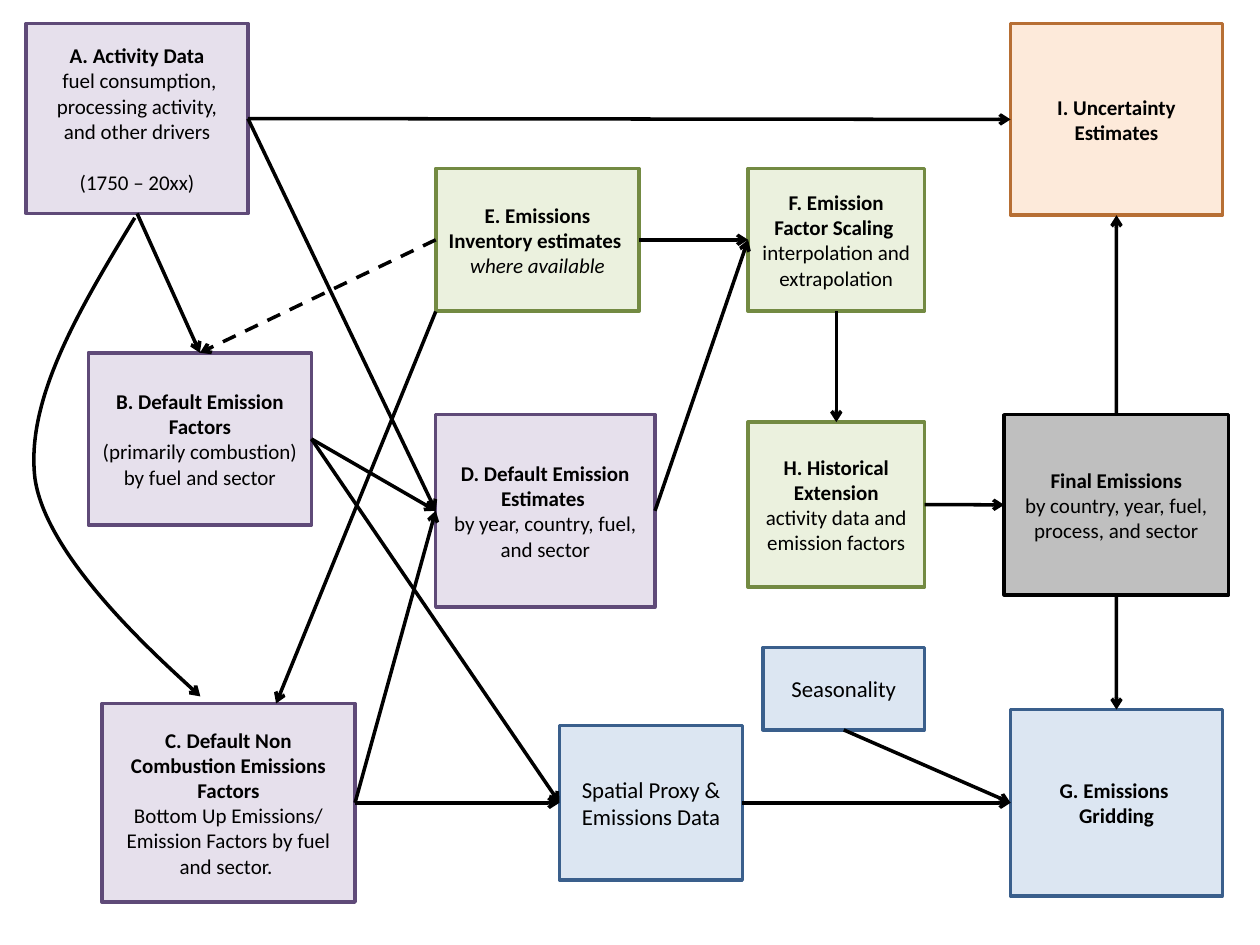
from dataclasses import dataclass
from enum import IntEnum

from lxml.etree import SubElement
from pptx import Presentation
from pptx.dml.color import RGBColor
from pptx.enum.dml import MSO_LINE
from pptx.enum.shapes import MSO_CONNECTOR, MSO_SHAPE
from pptx.enum.text import MSO_ANCHOR, PP_ALIGN
from pptx.oxml.ns import qn
from pptx.util import Pt

BLACK = "000000"
LINE_WIDTH = 2


class Side(IntEnum):
    TOP = 0
    LEFT = 1
    BOTTOM = 2
    RIGHT = 3


@dataclass(frozen=True)
class Palette:
    fill: str
    outline: str


@dataclass(frozen=True)
class Line:
    text: str
    bold: bool = False
    italic: bool = False
    size: float = 12
    space_before: float = 0


@dataclass(frozen=True)
class Box:
    key: str
    left: float
    top: float
    width: float
    height: float
    palette: Palette
    lines: tuple[Line, ...]


@dataclass(frozen=True)
class Link:
    source: str
    source_side: Side
    target: str
    target_side: Side
    dashed: bool = False


INPUT = Palette("E6E0EC", "5F4A78")
SCALING = Palette("EBF1DE", "738A42")
GRID = Palette("DCE6F2", "3A5F8C")
UNCERTAINTY = Palette("FDEADA", "B76F34")
FINAL = Palette("BFBFBF", BLACK)


def heading(text: str) -> Line:
    return Line(text, bold=True)


BOXES = (
    Box("activity", 15, 13.5, 126.7, 108.5, INPUT, (
        heading("A. Activity Data"),
        Line(" fuel consumption, processing activity, and other drivers"),
        Line("(1750 – 20xx)", space_before=14.6))),
    Box("inventory", 249, 96.3, 116.3, 81.5, SCALING, (
        heading("E. Emissions Inventory estimates "),
        Line("where available", italic=True))),
    Box("combustion", 50.5, 201.6, 127.5, 98.5, INPUT, (
        heading("B. Default Emission Factors"),
        Line("(primarily combustion) by fuel and sector"))),
    Box("non_combustion", 58.2, 402, 144.7, 113.5, INPUT, (
        heading("C. Default Non Combustion Emissions Factors"),
        Line("Bottom Up Emissions/ Emission Factors by fuel and sector. "))),
    Box("estimates", 249, 236.9, 125.3, 110, INPUT, (
        heading("D. Default Emission Estimates "),
        Line("by year, country, fuel, and sector"))),
    Box("factor_scaling", 427.5, 96.3, 100.8, 81.5, SCALING, (
        heading("F. Emission Factor Scaling "),
        Line("interpolation and extrapolation"))),
    Box("spatial_proxy", 319.7, 414.5, 104.5, 88.5, GRID, (
        Line("Spatial Proxy & Emissions Data", size=13),)),
    Box("uncertainty", 577.5, 13.5, 121, 109.5, UNCERTAINTY, (
        heading("I. Uncertainty Estimates"),)),
    Box("gridding", 577.5, 405.5, 121, 106.5, GRID, (
        heading("G. Emissions "), heading("Gridding"))),
    Box("final", 573.8, 237, 128.2, 103, FINAL, (
        heading("Final Emissions"),
        Line("by country, year, fuel, process, and sector"))),
    Box("extension", 427.5, 241.2, 100.8, 94.3, SCALING, (
        heading("H. Historical Extension"),
        Line("activity data and emission factors"))),
    Box("seasonality", 436, 370.1, 92.3, 47, GRID, (
        Line("Seasonality", size=13),)),
)

LINKS = (
    Link("combustion", Side.RIGHT, "spatial_proxy", Side.LEFT),
    Link("activity", Side.RIGHT, "estimates", Side.LEFT),
    Link("combustion", Side.RIGHT, "estimates", Side.LEFT),
    Link("non_combustion", Side.RIGHT, "estimates", Side.LEFT),
    Link("estimates", Side.RIGHT, "factor_scaling", Side.LEFT),
    Link("inventory", Side.RIGHT, "factor_scaling", Side.LEFT),
    Link("spatial_proxy", Side.RIGHT, "gridding", Side.LEFT),
    Link("extension", Side.RIGHT, "final", Side.LEFT),
    Link("activity", Side.RIGHT, "uncertainty", Side.LEFT),
    Link("final", Side.TOP, "uncertainty", Side.BOTTOM),
    Link("final", Side.BOTTOM, "gridding", Side.TOP),
    Link("non_combustion", Side.RIGHT, "spatial_proxy", Side.LEFT),
    Link("inventory", Side.LEFT, "combustion", Side.TOP, dashed=True),
    Link("activity", Side.BOTTOM, "combustion", Side.TOP),
    Link("factor_scaling", Side.BOTTOM, "extension", Side.TOP),
    Link("seasonality", Side.BOTTOM, "gridding", Side.LEFT),
)

INVENTORY_TO_NON_COMBUSTION = (249, 178, 157.8, 402)
ACTIVITY_CURVE = ((77, 124.5), (45.5, 176.5), (14.5, 228), (20, 273.5),
                  (26.5, 319.5), (114.5, 398), (114.5, 398))


def color(value: str) -> RGBColor:
    return RGBColor.from_string(value)


def write(paragraph, text: str, *, bold: bool = False, italic: bool = False,
          size: float = 12, space_before: float = 0) -> None:
    paragraph.alignment = PP_ALIGN.CENTER
    if space_before:
        paragraph.space_before = Pt(space_before)
    run = paragraph.add_run()
    run.text = text
    run.font.name = "Calibri"
    run.font.size = Pt(size)
    run.font.bold = bold
    run.font.italic = italic
    run.font.color.rgb = color(BLACK)


def style_line(line, value: str) -> None:
    line.color.rgb = color(value)
    line.width = Pt(LINE_WIDTH)


def style_arrow(shape, dashed: bool = False) -> None:
    style_line(shape.line, BLACK)
    if dashed:
        shape.line.dash_style = MSO_LINE.DASH
    properties = shape._element.spPr
    SubElement(properties.find(qn("a:ln")), qn("a:tailEnd"), type="arrow")
    SubElement(properties, qn("a:effectLst"))


def draw_box(shapes, box: Box):
    shape = shapes.add_shape(MSO_SHAPE.RECTANGLE, Pt(box.left), Pt(box.top),
                             Pt(box.width), Pt(box.height))
    shape.shadow.inherit = False
    shape.fill.solid()
    shape.fill.fore_color.rgb = color(box.palette.fill)
    style_line(shape.line, box.palette.outline)
    frame = shape.text_frame
    frame.word_wrap = True
    frame.vertical_anchor = MSO_ANCHOR.MIDDLE
    for index, line in enumerate(box.lines):
        paragraph = frame.add_paragraph() if index else frame.paragraphs[0]
        write(paragraph, line.text, bold=line.bold, italic=line.italic,
              size=line.size, space_before=line.space_before)
    return shape


def draw_arrow(shapes, left: float = 0, top: float = 0, right: float = 0,
               bottom: float = 0, dashed: bool = False):
    connector = shapes.add_connector(MSO_CONNECTOR.STRAIGHT, Pt(left), Pt(top),
                                     Pt(right), Pt(bottom))
    style_arrow(connector, dashed)
    return connector


def draw_link(shapes, link: Link, drawn: dict) -> None:
    connector = draw_arrow(shapes, dashed=link.dashed)
    connector.begin_connect(drawn[link.source], link.source_side)
    connector.end_connect(drawn[link.target], link.target_side)


def draw_curve(shapes, points: tuple) -> None:
    start, *rest = [(Pt(x), Pt(y)) for x, y in points]
    builder = shapes.build_freeform(*start)
    builder.add_line_segments(rest, close=False)
    shape = builder.convert_to_shape()
    segments = list(shape._element.iter(qn("a:lnTo")))
    for index in range(0, len(segments), 3):
        first, *others = segments[index:index + 3]
        first.tag = qn("a:cubicBezTo")
        for segment in others:
            first.append(segment[0])
            segment.getparent().remove(segment)
    shape.fill.background()
    style_arrow(shape)


def main() -> None:
    presentation = Presentation()
    presentation.slide_width = Pt(720)
    presentation.slide_height = Pt(540)
    slide = presentation.slides.add_slide(presentation.slide_layouts[6])
    shapes = slide.shapes
    drawn = {box.key: draw_box(shapes, box) for box in BOXES}
    for link in LINKS:
        draw_link(shapes, link, drawn)
    draw_arrow(shapes, *INVENTORY_TO_NON_COMBUSTION)
    draw_curve(shapes, ACTIVITY_CURVE)
    presentation.save("out.pptx")


if __name__ == "__main__":
    main()
